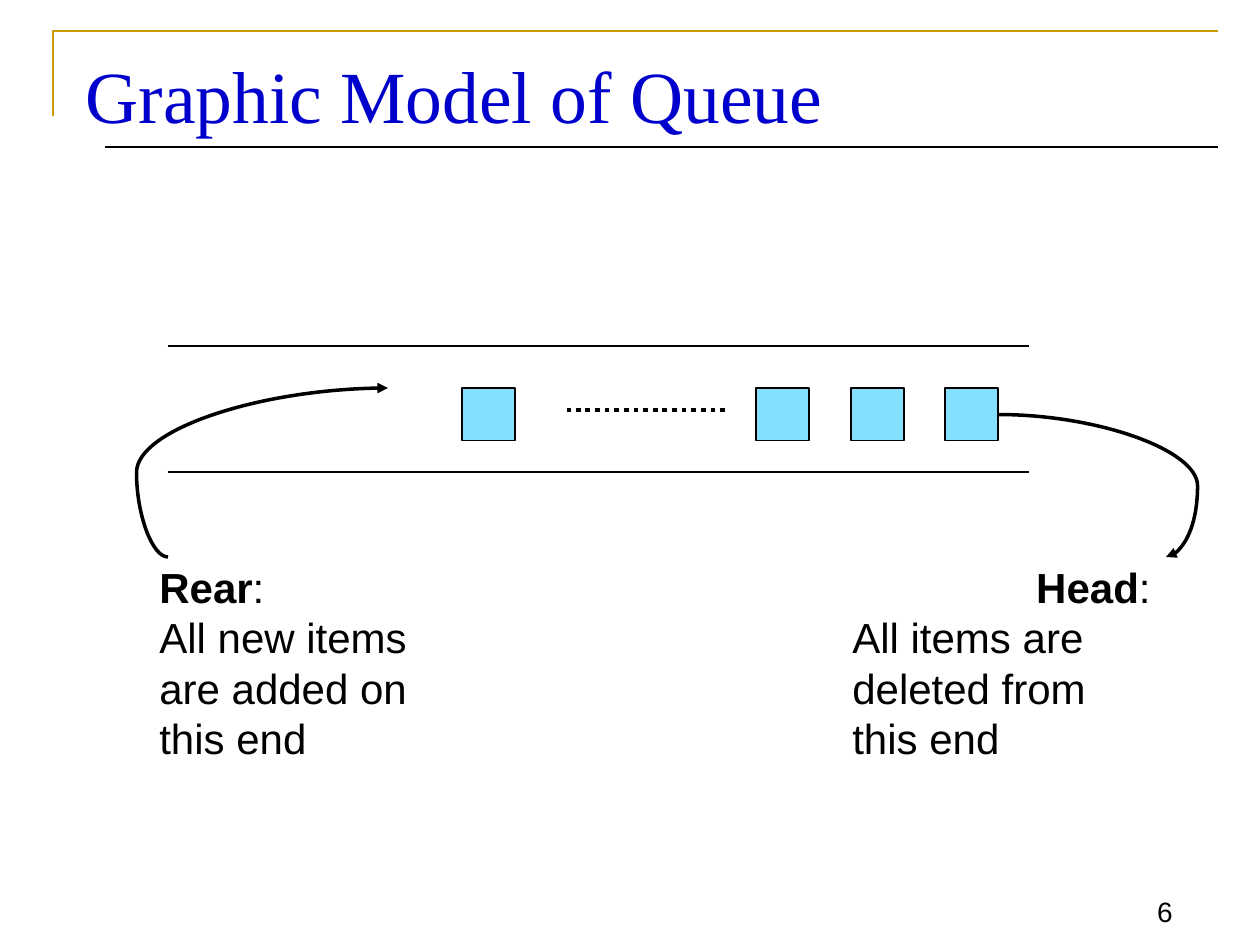
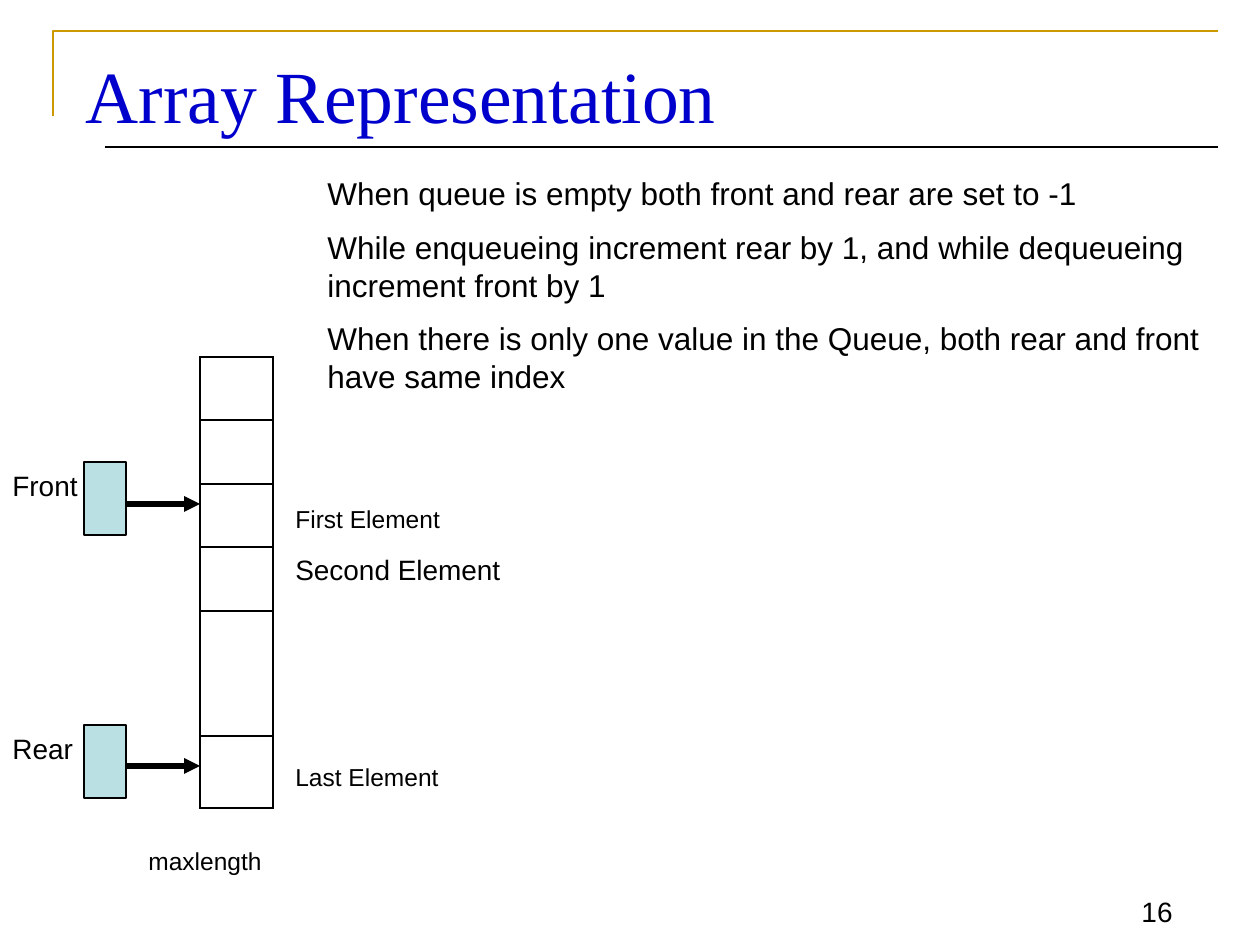
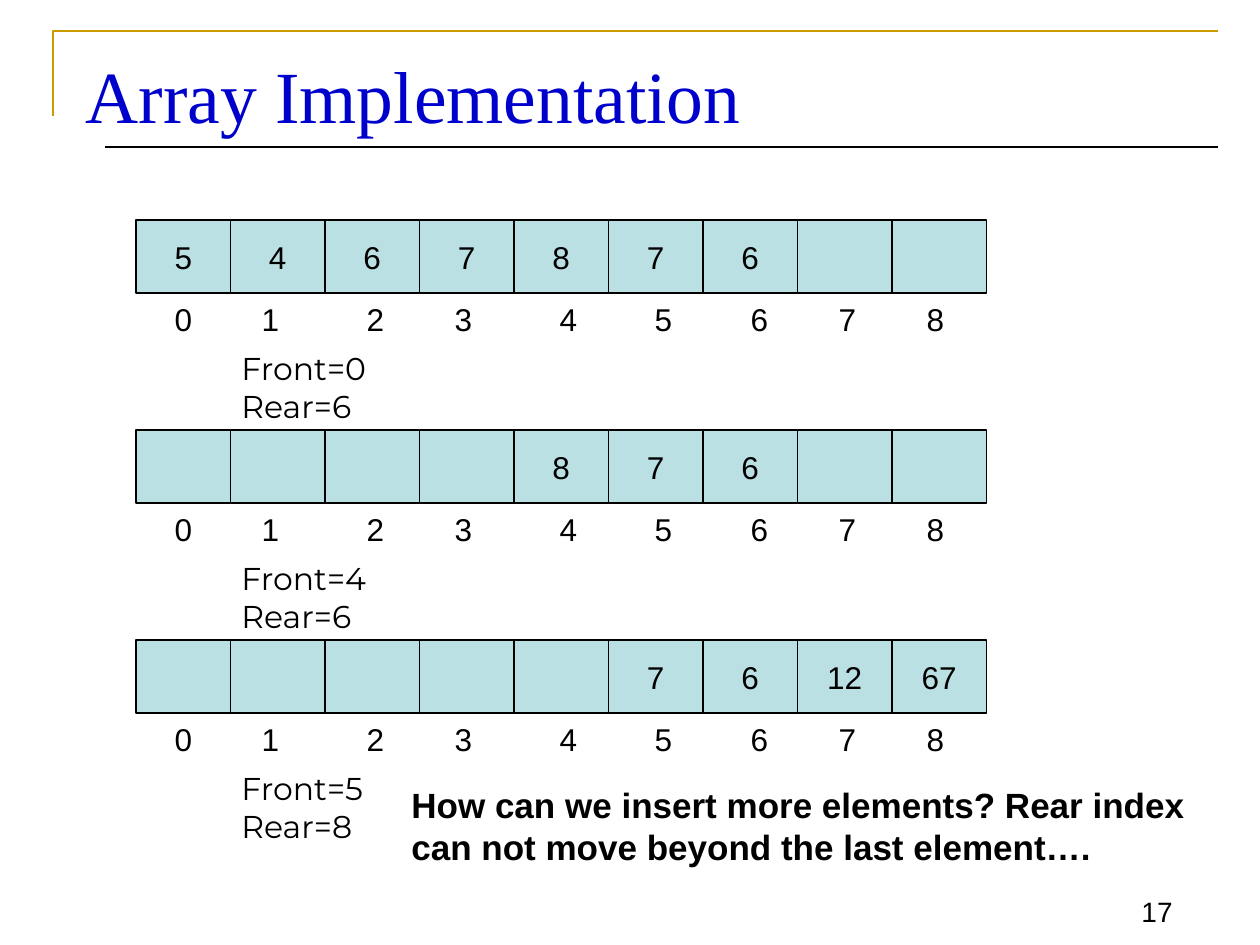
import lxml.etree
import pptx
import pptx.dml.color
import pptx.enum.dml
import pptx.enum.shapes
import pptx.enum.text
import pptx.oxml.ns
import pptx.util

PX = 7257  # EMU in one px, 126 px to the inch
BLACK, BLUE, GOLD = "000000", "0000CC", "CC9900"
SKY, TEAL = "85DFFF", "BBE0E3"
rgb = pptx.dml.color.RGBColor.from_string
qn = pptx.oxml.ns.qn
ALIGN = pptx.enum.text.PP_ALIGN
ANCHOR = pptx.enum.text.MSO_ANCHOR
CONNECTOR = pptx.enum.shapes.MSO_CONNECTOR
RECTANGLE = pptx.enum.shapes.MSO_SHAPE.RECTANGLE


def write(box, lines, size, font="Arial", color=BLACK, bold=False,
          align=ALIGN.LEFT, anchor=ANCHOR.TOP, gap=0, leading=1.2):
    frame = box.text_frame
    frame.word_wrap = True
    frame.auto_size = pptx.enum.text.MSO_AUTO_SIZE.NONE
    frame.vertical_anchor = anchor
    frame.text = "\n".join(lines)
    for number, para in enumerate(frame.paragraphs):
        para.alignment = align
        para.line_spacing = pptx.util.Pt(round(size * leading, 1))
        para.space_before = pptx.util.Pt(gap if number else 0)
        for span in para.runs:
            span.font.name = font
            span.font.size = pptx.util.Pt(size)
            span.font.bold = bold
            span.font.color.rgb = rgb(color)


def draw_line(page, ends, width, kind=CONNECTOR.STRAIGHT, dash=None, arrow=None, bend=None):
    line = page.shapes.add_connector(kind, *[PX * n for n in ends])
    line.line.color.rgb = rgb(BLACK)
    line.line.width = pptx.util.Pt(width)
    if dash:
        line.line.dash_style = dash
    properties = line.element.spPr
    if arrow:
        lxml.etree.SubElement(properties.find(qn("a:ln")), qn(arrow), type="triangle")
    if bend:
        guides = properties.find(qn("a:prstGeom")).find(qn("a:avLst"))
        lxml.etree.SubElement(guides, qn("a:gd"), name="adj1", fmla=f"val {bend}")
    lxml.etree.SubElement(properties, qn("a:effectLst"))
    return line


deck = pptx.Presentation()
deck.slide_width, deck.slide_height = 1260 * PX, 945 * PX
layout = deck.slide_layouts[5]

# Titles and page numbers
pages = []
for title, number in (("Graphic Model of Queue", "6"),
                      ("Array Representation", "16"),
                      ("Array Implementation", "17")):
    page = deck.slides.add_slide(layout)
    heading = page.shapes.title
    heading.left, heading.top, heading.width, heading.height = [PX * n for n in (73, 42, 1145, 94)]
    write(heading, [title], 42, "Times New Roman", BLUE, leading=1.22)
    corner = page.shapes.add_textbox(*[PX * n for n in (1102, 872, 83, 62)])
    write(corner, [number], 16, align=ALIGN.RIGHT, anchor=ANCHOR.BOTTOM)
    pages.append(page)
model, representation, implementation = pages

# Gold corner and title rule, shared through the layout
outline = model.shapes.build_freeform(53, 116, scale=PX)
outline.add_line_segments([(53, 31), (1218, 31)], close=False)
bracket = outline.convert_to_shape()
bracket.shadow.inherit = False
bracket.fill.background()
bracket.line.color.rgb = rgb(GOLD)
bracket.line.width = pptx.util.Pt(1.5)
rule = draw_line(model, (105, 147, 1218, 147), 0.75)
for shape_id, shared in enumerate((bracket, rule), 20):
    shared.element.xpath(".//p:cNvPr")[0].set("id", str(shape_id))
    layout.shapes.element.append(shared.element)

# Filled blocks of all three slides: container, place, fill, text
blocks = [(model.shapes, (x, 388, 53, 53), SKY, "") for x in (462, 756, 851, 945)]
blocks += [(representation.shapes, (84, y, 42, 73), TEAL, "") for y in (462, 725)]
states = [
    (["5", "4", "6", "7", "8", "7", "6", "", ""], 0, 6),
    (["", "", "", "", "8", "7", "6", "", ""], 4, 6),
    (["", "", "", "", "", "7", "6", "12", "67"], 5, 8),
]
groups = [implementation.shapes.add_group_shape() for state in states]
for row, (values, front, rear) in enumerate(states):
    blocks += [(groups[row].shapes, (136 + 94.5 * column, 220 + 210 * row, 94.5, 73), TEAL, value)
               for column, value in enumerate(values)]
for shapes, place, fill, value in blocks:
    block = shapes.add_shape(RECTANGLE, *[int(PX * n) for n in place])
    block.shadow.inherit = False
    block.fill.solid()
    block.fill.fore_color.rgb = rgb(fill)
    block.line.color.rgb = rgb(BLACK)
    block.line.width = pptx.util.Pt(0.75)
    if value:
        write(block, [value], 18, align=ALIGN.CENTER, anchor=ANCHOR.MIDDLE)

# Queue model: walls, dots and the two curved arrows
for y in (346, 472):
    draw_line(model, (168, y, 1029, y), 0.75)
draw_line(model, (725, 410, 567, 410), 2.75, dash=pptx.enum.dml.MSO_LINE.ROUND_DOT)
draw_line(model, (388, 388, 168, 557), 2, CONNECTOR.CURVE, arrow="a:headEnd", bend=114300)
leaving = draw_line(model, (998, 414, 1166, 557), 2, CONNECTOR.CURVE, arrow="a:tailEnd", bend=118800)
head_block = [shape for shape in model.shapes if shape.left == 945 * PX][0]
leaving.begin_connect(head_block, 3)

# Queue model: what happens at each end
for x, width, end, align, lines in (
        (147, 305, "Rear", ALIGN.LEFT, ["All new items", "are added on", "this end"]),
        (840, 323, "Head", ALIGN.RIGHT, ["All items are", "deleted from", "this end"])):
    box = model.shapes.add_textbox(*[PX * n for n in (x, 557, width, 210)])
    write(box, [end] + lines, 24, anchor=ANCHOR.MIDDLE)
    para = box.text_frame.paragraphs[0]
    para.alignment = align
    para.runs[0].font.bold = True
    colon = para.add_run()
    colon.text = ":"
    colon.font.name = "Arial"
    colon.font.size = pptx.util.Pt(24)
    colon.font.color.rgb = rgb(BLACK)

# Array representation: the array as a one-column table
heights = [63, 64, 63, 64, 125, 72]
holder = representation.shapes.add_table(
    len(heights), 1, *[PX * n for n in (200, 357, 73, sum(heights))])
array = holder.table
array.first_row = array.horz_banding = False
for row, height in zip(array.rows, heights):
    row.height = PX * height
    cell = row.cells[0]
    cell_properties = cell._tc.get_or_add_tcPr()
    for side in ("a:lnL", "a:lnR", "a:lnT", "a:lnB"):
        border = lxml.etree.SubElement(cell_properties, qn(side), w="12700")
        paint = lxml.etree.SubElement(border, qn("a:solidFill"))
        lxml.etree.SubElement(paint, qn("a:srgbClr"), val=BLACK)
    cell.fill.background()
for y in (504, 766):
    draw_line(representation, (126, y, 200, y), 3, arrow="a:tailEnd")

# Array representation: labels and rules
for text, size, place in (
        ("First Element", 14, (283, 498, 210, 43)),
        ("Last Element", 14, (283, 756, 189, 43)),
        ("maxlength", 14, (136, 840, 242, 43)),
        ("Front", 16, (0, 462, 95, 47)),
        ("Second Element", 16, (283, 546, 242, 47)),
        ("Rear", 16, (0, 725, 95, 47))):
    write(representation.shapes.add_textbox(*[PX * n for n in place]), [text], size)
notes = representation.shapes.add_textbox(*[PX * n for n in (315, 168, 914, 242)])
write(notes, ["When queue is empty both front and rear are set to -1",
              "While enqueueing increment rear by 1, and while dequeueing increment front by 1",
              "When there is only one value in the Queue, both rear and front have same index"],
      18, gap=9)

# Array implementation: indexes on centred tabs, then front and rear
index_tabs = [35, 122, 227, 315, 420, 515, 611, 699, 787]
for row, (values, front, rear) in enumerate(states):
    top = 294 + 210 * row
    indexes = groups[row].shapes.add_textbox(*[PX * n for n in (136, top, 851, 50)])
    write(indexes, ["".join(f"\t{index}" for index in range(len(values)))], 18)
    para_properties = indexes.text_frame.paragraphs[0]._p.get_or_add_pPr()
    tabs = lxml.etree.SubElement(para_properties, qn("a:tabLst"))
    for position in index_tabs:
        lxml.etree.SubElement(tabs, qn("a:tab"), pos=str(PX * position), algn="ctr")
    ends = groups[row].shapes.add_textbox(*[PX * n for n in (229, top + 49, 180, 88)])
    write(ends, [f"Front={front}", f"Rear={rear}"], 18, "Montserrat")

question = implementation.shapes.add_textbox(*[PX * n for n in (399, 777, 819, 97)])
write(question, ["How can we insert more elements? Rear index can not move "
                 "beyond the last element…."], 20, bold=True)

deck.save("out.pptx")
